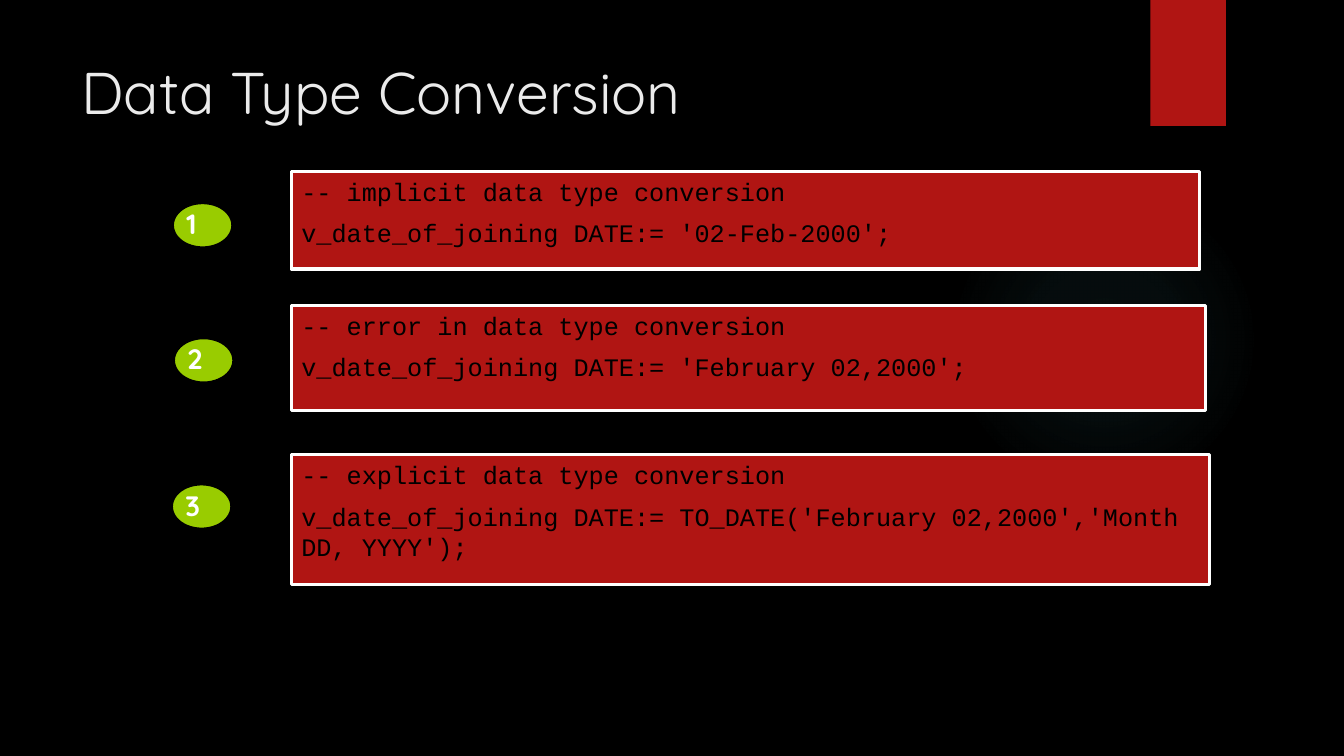
from lxml import etree
from pptx import Presentation
from pptx.dml.color import RGBColor
from pptx.enum import shapes, text
from pptx.oxml import parse_xml
from pptx.util import Inches, Pt

BLACK = RGBColor(0x00, 0x00, 0x00)
WHITE = RGBColor(0xFF, 0xFF, 0xFF)
RED = RGBColor(0xB0, 0x15, 0x13)
GREEN = RGBColor(0x99, 0xCC, 0x00)
GLOW = RGBColor(0x50, 0xB9, 0xC1)
TITLE_GREY = RGBColor(0xEB, 0xEB, 0xEB)
NS = 'xmlns:a="http://schemas.openxmlformats.org/drawingml/2006/main"'

prs = Presentation()
prs.slide_width, prs.slide_height = Inches(13.33), Inches(7.5)
s = prs.slides.add_slide(prs.slide_layouts[5])
s.background.fill.solid()
s.background.fill.fore_color.rgb = BLACK


def add_shape(kind, box, fill, line=None):
    sp = s.shapes.add_shape(kind, *[Inches(v) for v in box])
    sp.shadow.inherit = False
    sp.fill.solid()
    sp.fill.fore_color.rgb = fill
    if line is None:
        sp.line.fill.background()
    else:
        sp.line.color.rgb = line
        sp.line.width = Pt(2.25)
    return sp


def add_run(p, words, font, size, color, bold=False):
    r = p.add_run()
    r.text = words
    r.font.name, r.font.size, r.font.bold = font, Pt(size), bold
    r.font.color.rgb = color


# Soft round glow behind the boxes
glow = add_shape(shapes.MSO_SHAPE.OVAL, (9.41, 1.83, 3.08, 3.08), GLOW)
stops = "".join(
    f'<a:gs pos="{pos * 1000}"><a:srgbClr val="{GLOW}">'
    f'<a:alpha val="{alpha * 1000}"/></a:srgbClr></a:gs>'
    for pos, alpha in [(0, 7), (36, 6), (69, 0), (100, 0)])
spPr = glow.element.spPr
solid = spPr.find("{*}solidFill")
spPr.replace(solid, parse_xml(
    f'<a:gradFill {NS} rotWithShape="1"><a:gsLst>{stops}</a:gsLst><a:path path="circle">'
    '<a:fillToRect l="50000" t="50000" r="50000" b="50000"/></a:path></a:gradFill>'))

# Red tab with a soft shadow
tab = add_shape(shapes.MSO_SHAPE.RECTANGLE, (11.41, 0, 0.75, 1.25), RED)
tab.element.spPr.find("{*}effectLst").append(parse_xml(
    f'<a:outerShdw {NS} blurRad="{Pt(3)}" dist="{Pt(2)}" dir="5400000" rotWithShape="0">'
    f'<a:srgbClr val="{BLACK}"><a:alpha val="45000"/></a:srgbClr></a:outerShdw>'))

title = s.shapes.title
title.left, title.top = Inches(0.71), Inches(0.5)
title.width, title.height = Inches(10.29), Inches(1.53)
tf = title.text_frame
tf.word_wrap = True
tf.vertical_anchor = text.MSO_ANCHOR.TOP
tf.paragraphs[0].alignment = text.PP_ALIGN.LEFT
add_run(tf.paragraphs[0], "Data Type Conversion", "Quicksand", 42, TITLE_GREY)

# Code box top, width, height; badge left, top; comment and statement
examples = [
    (1.7, 9.01, 0.97, 1.71, 2.01, "-- implicit data type conversion",
     "v_date_of_joining DATE:= '02-Feb-2000';"),
    (3.03, 9.07, 1.04, 1.72, 3.35, "-- error in data type conversion",
     "v_date_of_joining DATE:= 'February 02,2000';"),
    (4.51, 9.11, 1.29, 1.7, 4.8, "-- explicit data type conversion",
     "v_date_of_joining DATE:= TO_DATE('February 02,2000','Month DD, YYYY');"),
]
for number, (top, width, height, badge_left, badge_top, comment, code) in enumerate(examples, 1):
    box = add_shape(shapes.MSO_SHAPE.RECTANGLE, (2.89, top, width, height), RED, WHITE)
    tf = box.text_frame
    tf.word_wrap = True
    tf.vertical_anchor = text.MSO_ANCHOR.TOP
    first, second = tf.paragraphs[0], tf.add_paragraph()
    second.space_before = Pt(8)
    for p, words in [(first, comment), (second, code)]:
        p.alignment = text.PP_ALIGN.LEFT
        add_run(p, words, "Courier New", 18, BLACK)

    badge = add_shape(shapes.MSO_SHAPE.OVAL, (badge_left, badge_top, 0.6, 0.45), GREEN, BLACK)
    tf = badge.text_frame
    tf.word_wrap = False
    tf.vertical_anchor = text.MSO_ANCHOR.MIDDLE
    tf.margin_left = tf.margin_right = tf.margin_top = tf.margin_bottom = Inches(0.05)
    p = tf.paragraphs[0]
    p.alignment = text.PP_ALIGN.LEFT
    p.line_spacing = 0.95
    add_run(p, str(number), "Quicksand", 20, WHITE, bold=True)

prs.save("out.pptx")
